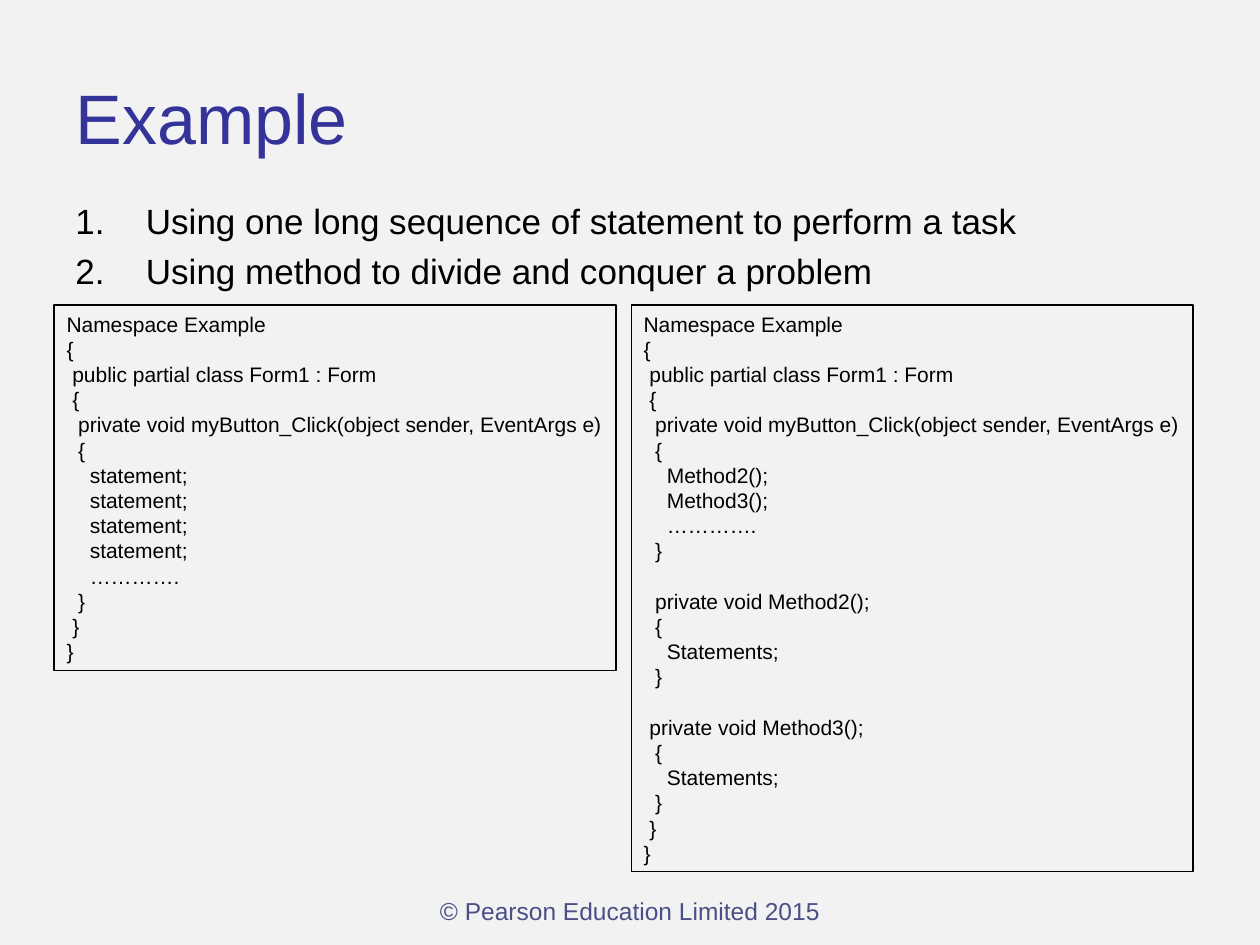
"""Build a slide comparing one long statement sequence with code split into methods."""
from lxml import etree
from pptx import Presentation
from pptx.dml.color import RGBColor
from pptx.enum.shapes import MSO_SHAPE
from pptx.enum.text import MSO_ANCHOR, MSO_AUTO_SIZE, PP_ALIGN
from pptx.oxml.ns import qn
from pptx.util import Inches, Pt

RECTANGLE = MSO_SHAPE.RECTANGLE
TOP, MIDDLE = MSO_ANCHOR.TOP, MSO_ANCHOR.MIDDLE
FIT_SHAPE = MSO_AUTO_SIZE.SHAPE_TO_FIT_TEXT
LEFT, CENTER = PP_ALIGN.LEFT, PP_ALIGN.CENTER


class Theme:
    font = "Arial"
    background = RGBColor.from_string("F2F2F2")
    title = RGBColor.from_string("333399")
    text = RGBColor.from_string("000000")
    footer = RGBColor.from_string("4A5086")
    title_size = Pt(40)
    list_size = Pt(20)
    footer_size = Pt(14)
    code_size = Pt(12)


def format_paragraph(paragraph, size, color, alignment=LEFT):
    paragraph.alignment = alignment
    paragraph.font.name = Theme.font
    paragraph.font.size = size
    paragraph.font.color.rgb = color


CODE_OPENING = """Namespace Example
{
 public partial class Form1 : Form
 {
  private void myButton_Click(object sender, EventArgs e)
  {
"""
SEQUENCE_CODE = CODE_OPENING + """    statement;
    statement;
    statement;
    statement;
    ………….
  }
 }
}"""
METHOD_CODE = CODE_OPENING + """    Method2();
    Method3();
    ………….
  }

  private void Method2();
  {
    Statements;
  }

 private void Method3();
  {
    Statements;
  }
 }
}"""

presentation = Presentation()
presentation.slide_width = Inches(10)
presentation.slide_height = Inches(7.5)
slide = presentation.slides.add_slide(presentation.slide_layouts[5])
slide.background.fill.solid()
slide.background.fill.fore_color.rgb = Theme.background

title = slide.shapes.title
title.left, title.top = Inches(0.5), Inches(0.3)
title.width, title.height = Inches(9), Inches(1.25)
title.text_frame.text = "Example"
title.text_frame.vertical_anchor = MIDDLE
format_paragraph(title.text_frame.paragraphs[0], Theme.title_size, Theme.title)

approaches = slide.shapes.add_textbox(Inches(0.5), Inches(1.5), Inches(9), Inches(0.92))
approaches.text_frame.word_wrap = True
approaches.text_frame.margin_top = Inches(0.08)
approaches.text_frame.text = (
    "Using one long sequence of statement to perform a task\n"
    "Using method to divide and conquer a problem"
)
for index, paragraph in enumerate(approaches.text_frame.paragraphs):
    properties = paragraph._p.get_or_add_pPr()
    properties.set("marL", str(Inches(0.56)))
    properties.set("indent", str(Inches(-0.56)))
    etree.SubElement(properties, qn("a:buAutoNum"), type="arabicPeriod")
    format_paragraph(paragraph, Theme.list_size, Theme.text)
    if index:
        paragraph.space_before = Pt(5)

footer = slide.shapes.add_textbox(Inches(2.71), Inches(7.06), Inches(4.58), Inches(0.52))
footer.text_frame.word_wrap = True
footer.text_frame.text = "© Pearson Education Limited 2015"
format_paragraph(footer.text_frame.paragraphs[0], Theme.footer_size, Theme.footer, CENTER)

for left, height, code in ((0.43, 2.9, SEQUENCE_CODE), (5.01, 4.5, METHOD_CODE)):
    code_box = slide.shapes.add_shape(
        RECTANGLE, Inches(left), Inches(2.42), Inches(4.46), Inches(height)
    )
    code_box.shadow.inherit = False
    code_box.fill.background()
    code_box.line.color.rgb = Theme.text
    code_box.line.width = Pt(0.75)
    text_frame = code_box.text_frame
    text_frame.word_wrap = False
    text_frame.auto_size = FIT_SHAPE
    text_frame.vertical_anchor = TOP
    text_frame.text = code
    for paragraph in text_frame.paragraphs:
        format_paragraph(paragraph, Theme.code_size, Theme.text)
        if not paragraph.text:
            size = str(Theme.code_size.centipoints)
            etree.SubElement(paragraph._p, qn("a:endParaRPr"), sz=size)

presentation.save("out.pptx")
